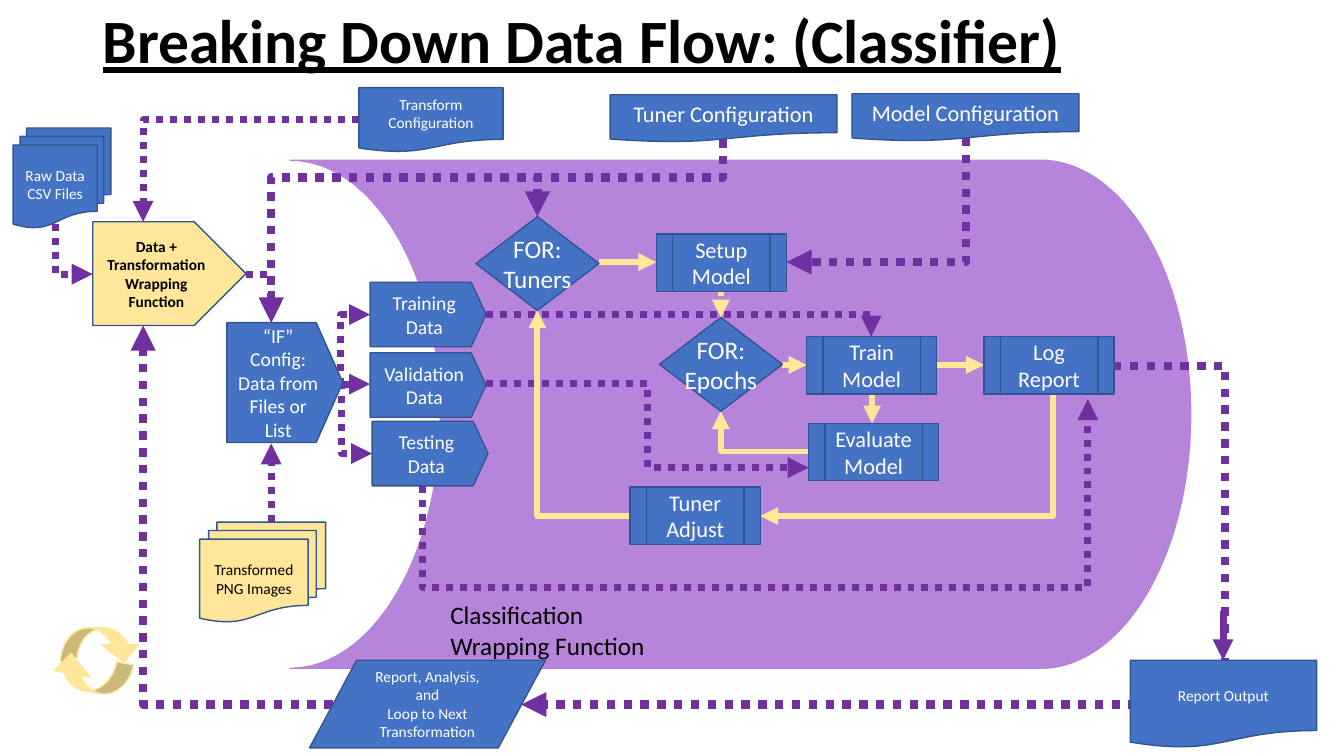
"""Build the classifier data flow slide."""
from pptx import Presentation
from pptx.dml.color import RGBColor
from pptx.enum.dml import MSO_LINE
from pptx.enum.shapes import MSO_CONNECTOR, MSO_SHAPE
from pptx.enum.text import MSO_ANCHOR, PP_ALIGN
from pptx.oxml.ns import qn
from pptx.oxml.xmlchemy import OxmlElement
from pptx.util import Inches, Pt

THEME = {
    "font": "Calibri",
    "blue": RGBColor(0x44, 0x72, 0xC4), "edge": RGBColor(0x32, 0x54, 0x91),
    "lilac": RGBColor(0xB6, 0x85, 0xDB), "purple": RGBColor(0x70, 0x30, 0xA0),
    "cream": RGBColor(0xFF, 0xE6, 0x99),
    "black": RGBColor(0, 0, 0), "white": RGBColor(0xFF, 0xFF, 0xFF),
    "title": Pt(44), "large": Pt(18), "process": Pt(16), "data": Pt(14), "small": Pt(11),
}

TITLE = ("Breaking Down Data Flow: (Classifier)", (0.92, 0, 11.5, 0.87))
WRAPPER = (["Classification", "Wrapping Function"], (2.88, 1.59, 8.93, 5.04))

DOC = MSO_SHAPE.FLOWCHART_DOCUMENT
MULTI = MSO_SHAPE.FLOWCHART_MULTIDOCUMENT
PLATE = MSO_SHAPE.PENTAGON
LOOP = MSO_SHAPE.FLOWCHART_DECISION
PROCESS = MSO_SHAPE.FLOWCHART_PREDEFINED_PROCESS
PARALLELOGRAM = MSO_SHAPE.FLOWCHART_DATA

LOOP_SIZE = (1.22, 0.93)
PROCESS_SIZE = (1.29, 0.57)
DATA_SIZE = (1.15, 0.64)
CONFIG_SIZE = (2.25, 0.47)

NODES = [
    (DOC, (3.56, 0.87), (1.43, 0.64), ["Transform", "Configuration"], "small", "blue"),
    (DOC, (6.05, 0.94), CONFIG_SIZE, ["Tuner Configuration"], "process", "blue"),
    (DOC, (8.45, 0.93), CONFIG_SIZE, ["Model Configuration"], "process", "blue"),
    (MULTI, (0.13, 1.27), (0.97, 0.99), ["Raw Data", "CSV Files"], "small", "blue"),
    (PARALLELOGRAM, (3.07, 6.55), (2.34, 0.87),
     ["Report, Analysis, and\vLoop to Next Transformation"], "small", "blue"),
    (DOC, (11.21, 6.55), (1.85, 0.87), ["Report Output"], "small", "blue"),
    (PLATE, (0.92, 2.2), (1.52, 1.03),
     ["Data + Transformation", "Wrapping Function"], "small", "cream"),
    (MULTI, (1.98, 5.18), (1.25, 0.99), ["Transformed PNG Images"], "small", "cream"),
    (PLATE, (2.25, 3.2), (1.15, 1.19),
     ["“IF” Config:", "Data from Files or List"], "data", "blue"),
    (PLATE, (3.67, 2.8), DATA_SIZE, ["Training Data"], "data", "blue"),
    (PLATE, (3.67, 3.5), DATA_SIZE, ["Validation Data"], "data", "blue"),
    (PLATE, (3.69, 4.18), DATA_SIZE, ["Testing Data"], "data", "blue"),
    (LOOP, (4.72, 2.15), LOOP_SIZE, ["FOR:", "Tuners"], "large", "blue"),
    (LOOP, (6.54, 3.15), LOOP_SIZE, ["FOR:", "Epochs"], "large", "blue"),
    (PROCESS, (6.51, 2.32), PROCESS_SIZE, ["Setup Model"], "process", "blue"),
    (PROCESS, (8, 3.34), PROCESS_SIZE, ["Train", "Model"], "process", "blue"),
    (PROCESS, (9.76, 3.34), PROCESS_SIZE, ["Log", "Report"], "process", "blue"),
    (PROCESS, (8.02, 4.2), PROCESS_SIZE, ["Evaluate", "Model"], "process", "blue"),
    (PROCESS, (6.25, 4.83), PROCESS_SIZE, ["Tuner\vAdjust"], "process", "blue"),
]

CYCLE = [
    ((0.6, 6.23, 0.81, 0.34), 0, (0.47, 1.06, 0.51)),
    ((0.49, 6.52, 0.81, 0.34), 190.5, (0.5, 1.06, 0.58)),
]

CONTROL = ("cream", 4.25, False)
DATA = ("purple", 5, True)
MAIN = ("purple", 6, True)

# start, end, first direction (h, v or straight), middle segment or None for one corner, style
FLOWS = [
    ((3.56, 1.19), (1.42, 2.2), "h", None, DATA),
    ((7.17, 1.38), (5.33, 2.15), "v", 1.76, MAIN),
    ((7.17, 1.38), (2.69, 3.2), "v", 1.76, MAIN),
    ((9.58, 1.37), (7.8, 2.6), "v", None, MAIN),
    ((11.04, 3.63), (5.17, 6.99), "h", 12.15, MAIN),
    ((3.3, 6.99), (1.42, 3.23), "h", None, MAIN),
    ((12.13, 6.06), (12.13, 6.55), "straight", None, ("purple", 5, False)),
    ((0.55, 2.22), (0.92, 2.72), "v", None, DATA),
    ((2.44, 2.72), (2.69, 3.2), "h", None, DATA),
    ((2.69, 5.18), (2.69, 4.4), "straight", None, DATA),
    ((3.4, 3.8), (3.69, 4.5), "h", 3.39, DATA),
    ((3.4, 3.8), (3.67, 3.12), "h", 3.38, DATA),
    ((3.4, 3.81), (3.67, 3.81), "straight", None, DATA),
    ((4.82, 3.12), (8.64, 3.34), "h", None, DATA),
    ((4.82, 3.81), (8.02, 4.64), "h", 6.42, DATA),
    ((4.19, 4.82), (10.79, 3.96), "v", 5.83, DATA),
    ((5.94, 2.6), (6.51, 2.6), "straight", None, CONTROL),
    ((7.15, 2.88), (7.15, 3.15), "straight", None, ("cream", 4.25, True)),
    ((7.76, 3.62), (8, 3.62), "straight", None, CONTROL),
    ((8.65, 3.91), (8.65, 4.2), "straight", None, CONTROL),
    ((9.29, 3.62), (9.76, 3.62), "straight", None, CONTROL),
    ((8.02, 4.48), (7.15, 4.08), "h", None, CONTROL),
    ((10.44, 3.91), (7.54, 5.12), "v", None, CONTROL),
    ((6.25, 5.12), (5.33, 3.08), "h", None, CONTROL),
]


def write(tf, lines, size, color, align=PP_ALIGN.CENTER, **fmt):
    font = {"name": THEME["font"], "size": THEME[size], **fmt}
    for i, line in enumerate(lines):
        p = tf.paragraphs[0] if i == 0 else tf.add_paragraph()
        p.alignment = align
        p.text = line
        for r in p.runs:
            for key, value in font.items():
                setattr(r.font, key, value)
            r.font.color.rgb = THEME[color]


def add_node(s, kind, box, fill, edge):
    sp = s.shapes.add_shape(kind, *map(Inches, box))
    sp.shadow.inherit = False
    sp.fill.solid()
    sp.fill.fore_color.rgb = THEME[fill]
    sp.line.color.rgb = THEME[edge]
    sp.line.width = Pt(1)
    sp.text_frame.word_wrap = True
    sp.text_frame.vertical_anchor = MSO_ANCHOR.MIDDLE
    return sp


def add_flow(s, start, end, axis, middle, style):
    (x1, y1), (x2, y2) = start, end
    dx, dy = x2 - x1, y2 - y1
    ends = (x1, y1, x2, y2)
    if axis == "v":
        cx, cy = (x1 + x2) / 2, (y1 + y2) / 2
        ends = (cx - dy / 2, cy + dx / 2, cx + dy / 2, cy - dx / 2)
    kind = MSO_CONNECTOR.STRAIGHT if axis == "straight" else MSO_CONNECTOR.ELBOW
    sp = s.shapes.add_connector(kind, *map(Inches, ends))
    color, width, dotted = style
    sp.line.color.rgb = THEME[color]
    sp.line.width = Pt(width)
    if dotted:
        sp.line.dash_style = MSO_LINE.ROUND_DOT
    props = sp._element.spPr
    if axis == "v":
        props.find(qn("a:xfrm")).set("rot", "5400000")
    geom = props.find(qn("a:prstGeom"))
    if axis != "straight" and middle is None:
        geom.set("prst", "bentConnector2")
    elif middle is not None:
        share = (middle - x1) / dx if axis == "h" else (middle - y1) / dy
        guide = OxmlElement("a:gd")
        guide.set("name", "adj1")
        guide.set("fmla", f"val {round(share * 100000)}")
        geom.find(qn("a:avLst")).append(guide)
    head = OxmlElement("a:tailEnd")
    head.set("type", "triangle")
    props.find(qn("a:ln")).append(head)
    props.append(OxmlElement("a:effectLst"))


def main():
    prs = Presentation()
    prs.slide_width, prs.slide_height = Inches(13.33), Inches(7.5)
    s = prs.slides.add_slide(prs.slide_layouts[6])

    text, box = TITLE
    tf = s.shapes.add_textbox(*map(Inches, box)).text_frame
    tf.word_wrap = True
    tf.vertical_anchor = MSO_ANCHOR.MIDDLE
    write(tf, [text], "title", "black", PP_ALIGN.LEFT, bold=True, underline=True)
    tf.paragraphs[0].line_spacing = 0.9

    lines, box = WRAPPER
    sp = add_node(s, MSO_SHAPE.FLOWCHART_STORED_DATA, box, "lilac", "lilac")
    sp._element.spPr.find(qn("a:xfrm")).set("flipH", "1")
    sp.text_frame.vertical_anchor = MSO_ANCHOR.BOTTOM
    sp.text_frame.margin_bottom = Inches(0.08)
    write(sp.text_frame, lines, "large", "black", PP_ALIGN.LEFT)

    for flow in FLOWS:
        add_flow(s, *flow)

    for kind, at, size, lines, type_size, fill in NODES:
        sp = add_node(s, kind, at + size, fill, "edge")
        if kind == PLATE and fill == "blue":
            sp.adjustments[0] = 0.23
        sp.text_frame.word_wrap = kind != LOOP
        color = "black" if fill == "cream" else "white"
        write(sp.text_frame, lines, type_size, color, bold=kind == PLATE and fill == "cream")

    for box, angle, bends in CYCLE:
        sp = add_node(s, MSO_SHAPE.CURVED_DOWN_ARROW, box, "cream", "cream")
        sp.rotation = angle
        for i, bend in enumerate(bends):
            sp.adjustments[i] = bend

    prs.save("out.pptx")


if __name__ == "__main__":
    main()
